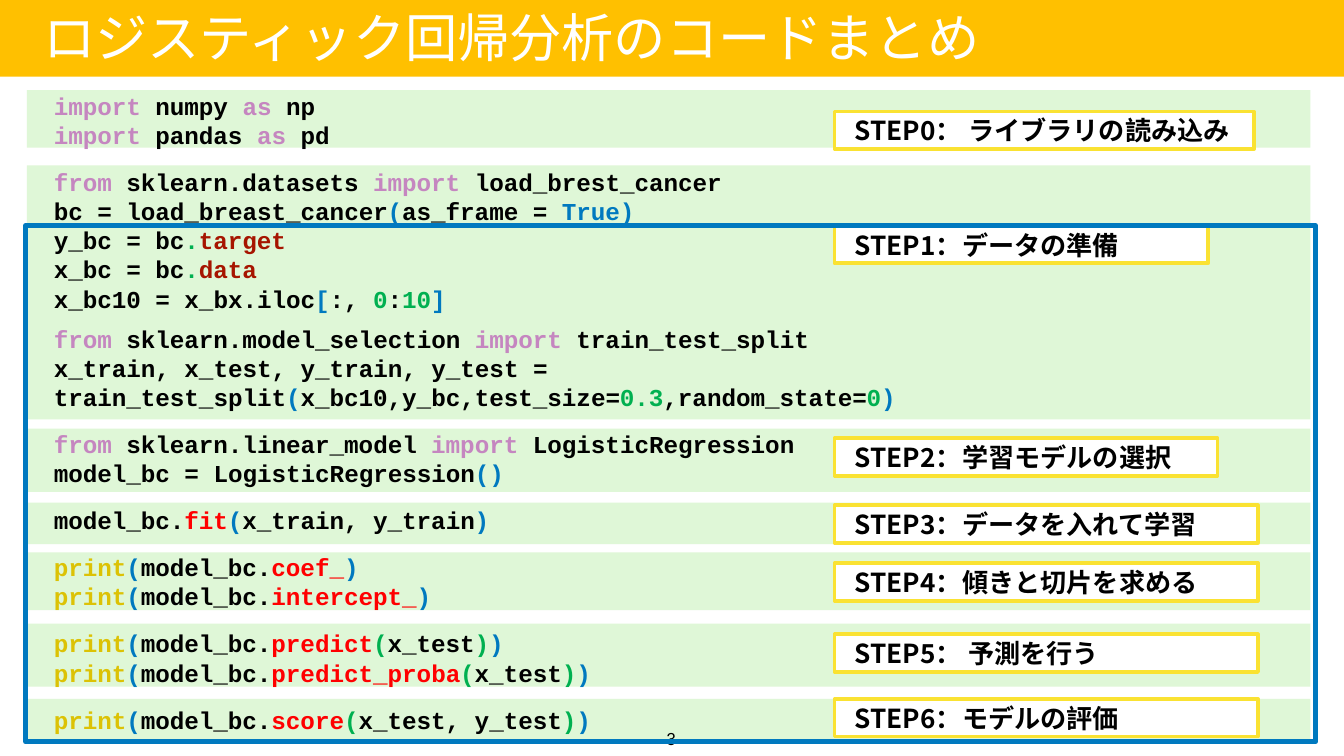
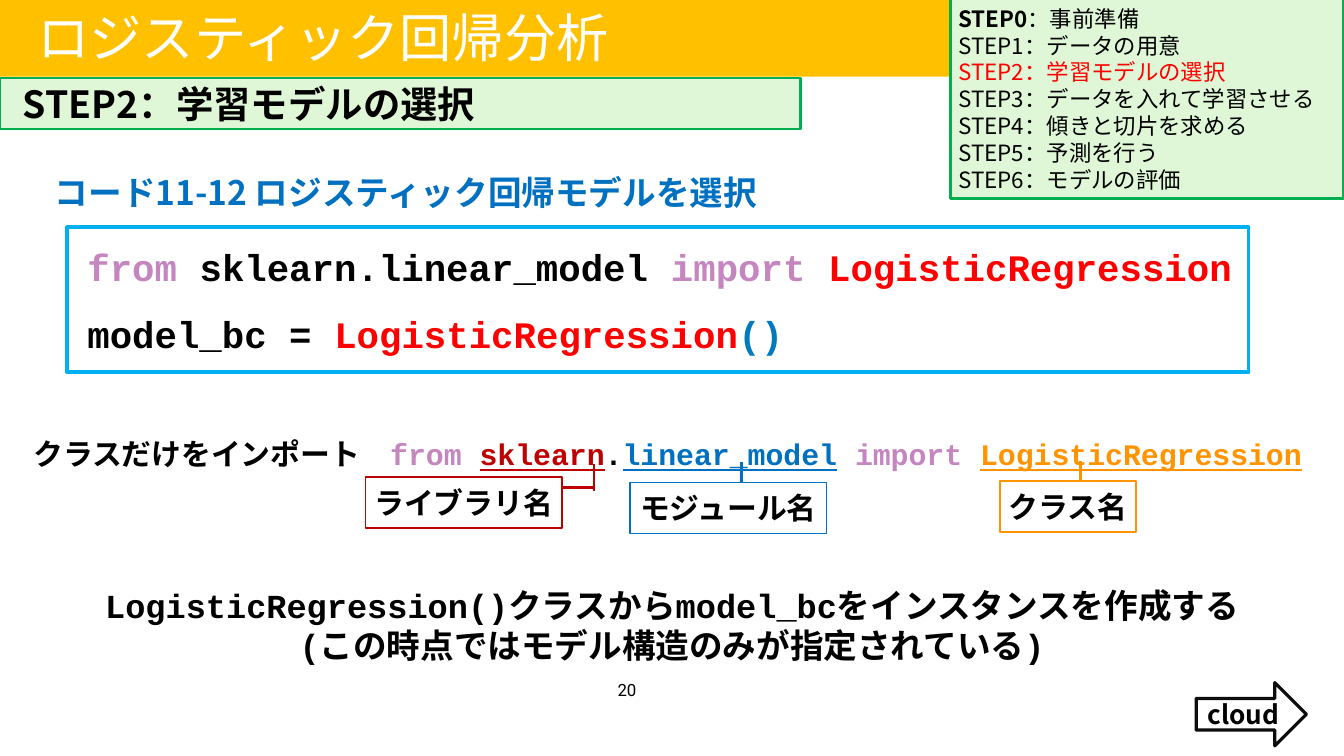
from lxml import etree
from pptx import Presentation
from pptx.dml.color import RGBColor
from pptx.enum.shapes import MSO_CONNECTOR, MSO_SHAPE
from pptx.enum.text import MSO_ANCHOR, PP_ALIGN
from pptx.oxml.ns import qn
from pptx.util import Inches, Pt

RECT, ARROW = MSO_SHAPE.RECTANGLE, MSO_SHAPE.RIGHT_ARROW
STRAIGHT = MSO_CONNECTOR.STRAIGHT
TOP, MIDDLE = MSO_ANCHOR.TOP, MSO_ANCHOR.MIDDLE
LEFT, CENTER = PP_ALIGN.LEFT, PP_ALIGN.CENTER

BLACK = RGBColor(0x00, 0x00, 0x00)
WHITE = RGBColor(0xFF, 0xFF, 0xFF)
AMBER = RGBColor(0xFF, 0xC0, 0x00)
MINT = RGBColor(0xDF, 0xF7, 0xD7)
GREEN = RGBColor(0x00, 0xB0, 0x50)
YELLOW = RGBColor(0xFA, 0xE2, 0x32)
RED = RGBColor(0xFF, 0x00, 0x00)
KEYWORD = RGBColor(0xC5, 0x86, 0xC0)
BRACKET = RGBColor(0x00, 0x79, 0xBF)
FIELD = RGBColor(0xA6, 0x15, 0x00)
BUILTIN = RGBColor(0xDC, 0xC2, 0x05)
SKY = RGBColor(0x00, 0xB0, 0xF0)
BLUE = RGBColor(0x00, 0x70, 0xC0)
CRIMSON = RGBColor(0xC0, 0x00, 0x00)
ORANGE = RGBColor(0xFF, 0x93, 0x00)
INK = RGBColor(0x0D, 0x0D, 0x0D)

MONO, GOTHIC, ROBOTO = "Courier New", "Noto Sans CJK JP", "Roboto"
LEADING = 1.2
WIDTH = 10
HEIGHT = WIDTH * 9 / 16
BREAK = ("\n", BLACK)


def add_runs(paragraph, runs, size, font, bold):
    """Add (text, colour[, underline[, bold]]) runs to a paragraph."""
    for text, color, *extra in runs:
        if text == "\n":
            paragraph.add_line_break()
            continue
        run = paragraph.add_run()
        run.text = text
        run.font.size = Pt(size)
        run.font.bold = extra[1] if len(extra) > 1 else bold
        if extra and extra[0]:
            run.font.underline = True
        run.font.color.rgb = color
        run.font.name = font
        east_asian = etree.SubElement(run.font._element, qn("a:ea"))
        east_asian.set("typeface", GOTHIC)


def write(shape, lines, size, font=GOTHIC, bold=True, align=LEFT, anchor=MIDDLE,
          inset=(0.02, 0.02), margin=0.0, indent=0.0, spacing=(1,), wrap=True, gaps=None):
    """Fill a shape with lines of runs; gaps maps a line index to points before it."""
    frame = shape.text_frame
    frame.word_wrap = wrap
    frame.vertical_anchor = anchor
    frame.margin_left = frame.margin_right = Inches(inset[0])
    frame.margin_top = frame.margin_bottom = Inches(inset[1])
    for index, runs in enumerate(lines):
        paragraph = frame.paragraphs[0] if index == 0 else frame.add_paragraph()
        paragraph.alignment = align
        factor = spacing[min(index, len(spacing) - 1)]
        paragraph.line_spacing = Pt(round(size * LEADING * factor, 1))
        if gaps and index in gaps:
            paragraph.space_before = Pt(gaps[index])
        properties = paragraph._p.get_or_add_pPr()
        properties.set("marL", str(Inches(margin)))
        properties.set("indent", str(Inches(indent)))
        add_runs(paragraph, runs, size, font, bold)


def add_box(slide, box, fill=None, line=None, weight=1, kind=RECT):
    """Add a flat preset shape."""
    shape = slide.shapes.add_shape(kind, *map(Inches, box))
    shape.shadow.inherit = False
    if fill is None:
        shape.fill.background()
    else:
        shape.fill.solid()
        shape.fill.fore_color.rgb = fill
    if line is None:
        shape.line.fill.background()
    else:
        shape.line.color.rgb = line
        shape.line.width = Pt(weight)
    return shape


def add_text(slide, box, lines, size, **style):
    """Add a text box."""
    write(slide.shapes.add_textbox(*map(Inches, box)), lines, size, **style)


def add_line(slide, start, end, color):
    """Add a straight line without shadow."""
    line = slide.shapes.add_connector(STRAIGHT, *map(Inches, (*start, *end)))
    line.line.color.rgb = color
    line.line.width = Pt(1.5)
    etree.SubElement(line._element.spPr, qn("a:effectLst"))


def add_title(slide, title, left, width):
    """Draw the amber title band and its heading."""
    add_box(slide, (0, -0.01, WIDTH, 0.58), AMBER)
    add_text(slide, (left, 0.02, width, 0.51), [[(title, WHITE)]], 28, bold=False, wrap=False)


def add_page_number(slide, number, left, top):
    """Place the page number."""
    add_text(slide, (left, top, 0.25, 0.26), [[(number, BLACK)]], 9, font=ROBOTO, bold=False,
             align=CENTER, anchor=TOP, inset=(0.02, 0.06), wrap=False)


def import_as(library, alias):
    """Return the runs of an aliased import."""
    return [("import ", KEYWORD), (library + " ", BLACK), ("as ", KEYWORD), (alias, BLACK)]


def import_from(module, name, color=BLACK):
    """Return the runs of a from-import."""
    return [("from ", KEYWORD), (module + " ", BLACK), ("import ", KEYWORD), (name, color)]


def print_model(member, arguments=None):
    """Return the runs that print a member of the model."""
    call = [("(", GREEN), (arguments, BLACK), (")", GREEN)] if arguments else []
    return [("print", BUILTIN), ("(", BRACKET), ("model_bc.", BLACK), (member, RED),
            *call, (")", BRACKET)]


SUMMARY_CODE = [
    [import_as("numpy", "np"), import_as("pandas", "pd")],
    [[*import_from("sklearn.datasets", "load_brest_cancer"), BREAK,
      ("bc = load_breast_cancer", BLACK), ("(", BRACKET), ("as_frame = ", BLACK),
      ("True)", BRACKET)],
     [("y_bc = bc", BLACK), (".", GREEN), ("target", FIELD)],
     [("x_bc = bc", BLACK), (".", GREEN), ("data", FIELD)],
     [("x_bc10 = x_bx.iloc", BLACK), ("[", BRACKET), (":, ", BLACK), ("0", GREEN),
      (":", BLACK), ("10", GREEN), ("]", BRACKET)]],
    [import_from("sklearn.model_selection", "train_test_split"),
     [("x_train, x_test, y_train, y_test = train_test_split", BLACK), ("(", BRACKET),
      ("x_bc10,y_bc,test_size=", BLACK), ("0.3", GREEN), (",random_state=", BLACK),
      ("0", GREEN), (")", BRACKET)]],
    [import_from("sklearn.linear_model", "LogisticRegression"),
     [("model_bc = LogisticRegression", BLACK), ("()", BRACKET)]],
    [[("model_bc.", BLACK), ("fit", RED), ("(", BRACKET), ("x_train, y_train", BLACK),
      (")", BRACKET)]],
    [print_model("coef_"), print_model("intercept_")],
    [print_model("predict", "x_test"), print_model("predict_proba", "x_test")],
    [print_model("score", "x_test, y_test")],
]
SPLIT_BLOCK = 2

CODE_BANDS = [(0.67, 0.43), (1.23, 1.89), (3.19, 0.47), (3.74, 0.31), (4.11, 0.43),
              (4.64, 0.47), (5.2, 0.31)]

SUMMARY_STEPS = [
    ("STEP0： ライブラリの読み込み", 0.83, 3.12),
    ("STEP1：データの準備", 1.68, 2.78),
    ("STEP2：学習モデルの選択", 3.26, 2.85),
    ("STEP3：データを入れて学習", 3.76, 3.15),
    ("STEP4：傾きと切片を求める", 4.19, 3.15),
    ("STEP5： 予測を行う", 4.72, 3.15),
    ("STEP6：モデルの評価", 5.2, 3.15),
]

AGENDA = ["：事前準備", "：データの用意", "：学習モデルの選択", "：データを入れて学習させる",
          "：傾きと切片を求める", "：予測を行う", "：モデルの評価"]


def draw_code_listing(slide, box):
    """Draw the whole listing, with a gap before each block of code."""
    lines, gaps = [], {}
    for number, block in enumerate(SUMMARY_CODE):
        if number:
            gaps[len(lines)] = 6 if number == SPLIT_BLOCK else 9.6
        lines += block
    add_text(slide, box, lines, 13, font=MONO, inset=(0, 0), margin=0.17, gaps=gaps)


def draw_step_labels(slide, left):
    """Draw the framed step names beside the code."""
    for name, top, width in SUMMARY_STEPS:
        label = add_box(slide, (left, top, width, 0.28), WHITE, YELLOW, 2)
        write(label, [[(name, BLACK)]], 14, inset=(0, 0.02), margin=0.15)


def draw_agenda(slide, box, current):
    """Draw the list of steps with the current one in red."""
    lines = []
    for step, name in enumerate(AGENDA):
        color = RED if step == current else BLACK
        lines.append([(f"STEP{step}", color, False, True), (name, color)] if step == 0
                     else [(f"STEP{step}{name}", color)])
    write(add_box(slide, box, MINT, GREEN, 1.5), lines, 12, bold=False, inset=(0.01, 0.04),
          margin=0.1, indent=-0.05)


def draw_code_example(slide, box):
    """Draw the caption and the framed code below it."""
    left, top, width, height = box
    caption = [[("コード11-12 ロジスティック回帰モデルを選択", BLUE)]]
    add_text(slide, (left - 0.34, top, 8.47, 0.52), caption, 18, anchor=TOP,
             inset=(0.1, 0.05), margin=0.15, spacing=(1.5,))
    code = [import_from("sklearn.linear_model", "LogisticRegression", RED),
            [("model_bc = ", BLACK), ("LogisticRegression", RED), ("()", BRACKET)]]
    frame = add_box(slide, (left, top + 0.61, width, height - 0.61), None, SKY, 2)
    write(frame, code, 20, font=MONO, inset=(0, 0.12), margin=0.15, spacing=(1, 1.5))


def draw_import_anatomy(slide, box):
    """Draw the import statement with a named box under each of its parts."""
    left, top, _, _ = box
    statement = [("クラスだけをインポート　", BLACK), ("from ", KEYWORD),
                 ("sklearn", CRIMSON, True), (".", BLACK), ("linear_model", BLUE, True),
                 (" ", BLACK), ("import ", KEYWORD), ("LogisticRegression", ORANGE, True)]
    add_text(slide, box, [statement], 16, font=MONO, anchor=TOP, inset=(0.1, 0.05),
             margin=0.02, spacing=(1.3,))
    parts = [("ライブラリ名", CRIMSON, 2.59, 0.44, 1.46),
             ("モジュール名", BLUE, 4.56, 0.48, 1.46),
             ("クラス名", ORANGE, 7.31, 0.47, 1.01)]
    for name, color, x, y, width in parts:
        label = add_box(slide, (left + x, top + y, width, 0.38), None, color)
        write(label, [[(name, BLACK)]], 16, font=MONO, align=CENTER, inset=(0.06, 0.06),
              wrap=False)
    leads = [((4.29, 0.54), (4.29, 0.34), CRIMSON), ((4.29, 0.52), (4.06, 0.52), CRIMSON),
             ((5.39, 0.48), (5.39, 0.33), BLUE), ((7.91, 0.48), (7.91, 0.32), ORANGE)]
    for start, end, color in leads:
        add_line(slide, *[(left + x, top + y) for x, y in (start, end)], color)


def build_summary(slide):
    """Build the slide that sums up the code."""
    for top, height in CODE_BANDS:
        add_box(slide, (0.2, top, 9.55, height), MINT)
    draw_code_listing(slide, (0.23, 0.63, 9.21, 4.88))
    add_title(slide, "ロジスティック回帰分析のコードまとめ", 0.3, 7.11)
    draw_step_labels(slide, 6.21)
    add_page_number(slide, "3", 4.87, 5.36)
    add_box(slide, (0.19, 1.68, 9.6, 3.84), None, BRACKET, 2.5)


def build_model_choice(slide):
    """Build the slide on choosing the model."""
    add_title(slide, "ロジスティック回帰分析", 0.26, 4.36)
    draw_agenda(slide, (7.07, -0.01, 2.93, 1.49), 2)
    heading = add_box(slide, (0, 0.58, 5.96, 0.38), MINT, GREEN, 1.5)
    write(heading, [[("STEP2：学習モデルの選択", BLACK)]], 20, margin=0.15)
    draw_code_example(slide, (0.5, 1.08, 8.79, 1.69))
    add_page_number(slide, "20", 4.54, 5)
    draw_import_anatomy(slide, (0.13, 3.11, 9.74, 1.3))
    remarks = ["LogisticRegression()クラスからmodel_bcをインスタンスを作成する",
               "(この時点ではモデル構造のみが指定されている)"]
    add_text(slide, (0.21, 4.29, 9.58, 1.02), [[(remark, BLACK)] for remark in remarks], 18,
             font=MONO, align=CENTER, anchor=TOP, inset=(0.06, 0.06))
    notebook = add_box(slide, (8.9, 5.08, 0.82, 0.47), None, INK, 1.75, ARROW)
    write(notebook, [[("cloud", BLACK)]], 14, align=CENTER, inset=(0, 0))


def main():
    """Build both slides and save the deck."""
    deck = Presentation()
    deck.slide_width, deck.slide_height = Inches(WIDTH), Inches(HEIGHT)
    for build in (build_summary, build_model_choice):
        build(deck.slides.add_slide(deck.slide_layouts[6]))
    deck.save("out.pptx")


if __name__ == "__main__":
    main()
